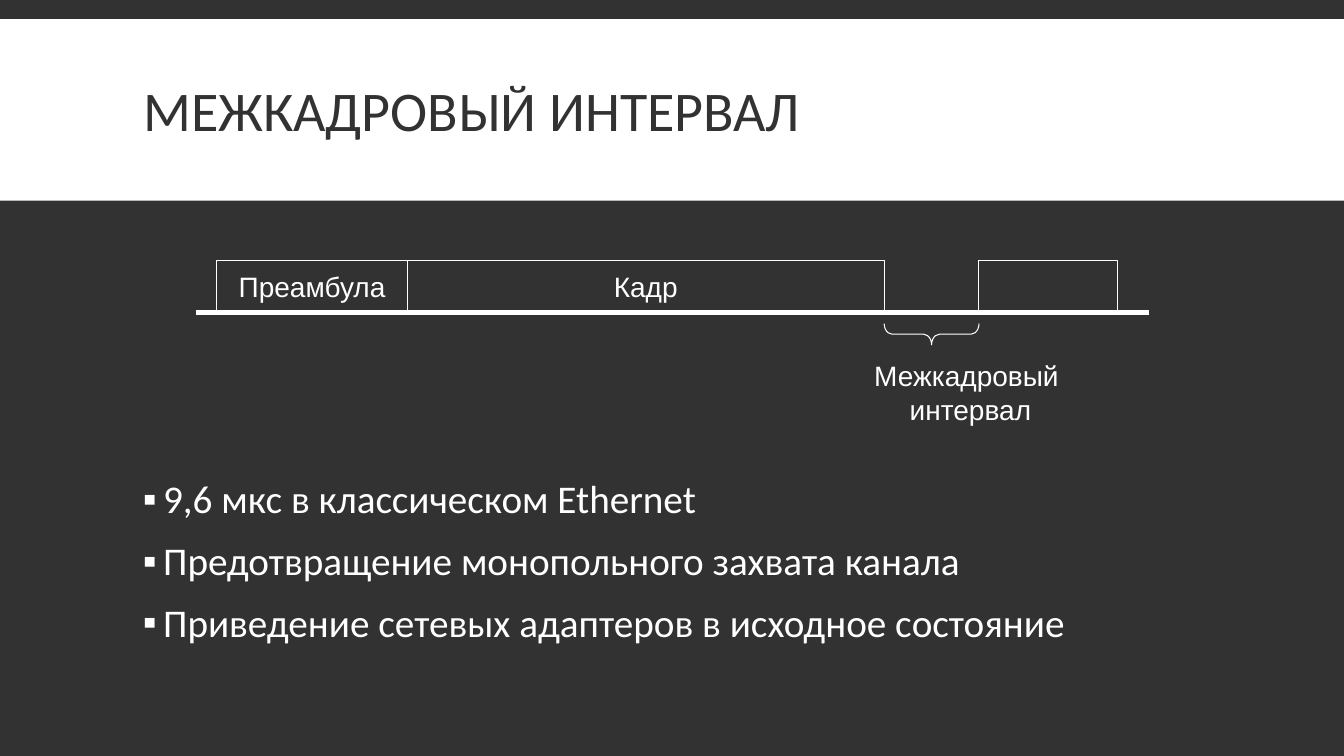
from lxml.etree import SubElement
from pptx import Presentation
from pptx.dml.color import RGBColor
from pptx.enum.shapes import MSO_CONNECTOR, MSO_SHAPE
from pptx.enum.text import MSO_ANCHOR, PP_ALIGN
from pptx.oxml.ns import qn
from pptx.util import Inches, Pt

DARK = "323232"
WHITE = "FFFFFF"


def color(code):
    return RGBColor.from_string(code)


class FrameSlide:
    label_font = "Arial"
    text_font = "Calibri"

    def __init__(self, deck):
        self.page = deck.slides.add_slide(deck.slide_layouts[5])
        self.page.background.fill.solid()
        self.page.background.fill.fore_color.rgb = color(DARK)

    def set_text(self, frame, text, font, size, ink, align, spacing=1.0):
        frame.text = text
        for para in frame.paragraphs:
            para.alignment = align
            para.line_spacing = spacing
            for span in para.runs:
                span.font.name = font
                span.font.size = Pt(size)
                span.font.color.rgb = color(ink)

    def title(self, text, left, top, width, height):
        box = self.page.shapes.title
        box.left, box.top = Inches(left), Inches(top)
        box.width, box.height = Inches(width), Inches(height)
        box.text_frame.word_wrap = True
        box.text_frame.vertical_anchor = MSO_ANCHOR.MIDDLE
        self.set_text(box.text_frame, text, self.text_font, 40, DARK, PP_ALIGN.LEFT, 0.85)

    def shape(self, kind, left, top, width, height):
        box = self.page.shapes.add_shape(
            kind, Inches(left), Inches(top), Inches(width), Inches(height))
        box.shadow.inherit = False
        box.fill.background()
        box.line.color.rgb = color(WHITE)
        box.line.width = Pt(0.75)
        return box

    def band(self, top, width, height):
        box = self.shape(MSO_SHAPE.RECTANGLE, 0, top, width, height)
        box.fill.solid()
        box.fill.fore_color.rgb = color(WHITE)
        box.line.fill.background()
        self.page.shapes.title.element.addprevious(box.element)

    def block(self, text, left, top, width, height):
        box = self.shape(MSO_SHAPE.RECTANGLE, left, top, width, height)
        if text:
            box.text_frame.word_wrap = False
            box.text_frame.vertical_anchor = MSO_ANCHOR.MIDDLE
            self.set_text(box.text_frame, text, self.label_font, 20, WHITE, PP_ALIGN.CENTER)

    def brace_below(self, left, right, top, depth):
        span = right - left
        brace = self.shape(MSO_SHAPE.LEFT_BRACE, (left + right - depth) / 2,
                           top + (depth - span) / 2, depth, span)
        brace.rotation = 270
        brace.adjustments[0] = 0.375

    def axis(self, left, right, top):
        line = self.page.shapes.add_connector(
            MSO_CONNECTOR.STRAIGHT, Inches(left), Inches(top), Inches(right), Inches(top))
        line.line.color.rgb = color(WHITE)
        line.line.width = Pt(3)
        SubElement(line.element.spPr, qn("a:effectLst"))

    def text_box(self, left, top, width, height):
        box = self.page.shapes.add_textbox(
            Inches(left), Inches(top), Inches(width), Inches(height))
        return box.text_frame

    def label(self, text, left, top, width, height):
        frame = self.text_box(left, top, width, height)
        frame.word_wrap = False
        self.set_text(frame, text, self.label_font, 20, WHITE, PP_ALIGN.CENTER)

    def bullets(self, items, left, top, width, height):
        frame = self.text_box(left, top, width, height)
        frame.word_wrap = True
        self.set_text(frame, "\n".join(items), self.text_font, 28, WHITE, PP_ALIGN.LEFT, 0.9)
        for para in frame.paragraphs:
            para.space_before = Pt(12)
            para.space_after = Pt(2)
            properties = para._p.get_or_add_pPr()
            properties.set("marL", str(Inches(0.2)))
            properties.set("indent", str(-Inches(0.2)))
            tint = SubElement(properties, qn("a:buClr"))
            SubElement(tint, qn("a:srgbClr"), val=WHITE)
            SubElement(properties, qn("a:buFont"), typeface=self.label_font)
            SubElement(properties, qn("a:buChar"), char="▪")


def main():
    deck = Presentation()
    deck.slide_width, deck.slide_height = Inches(13.33), Inches(7.5)
    slide = FrameSlide(deck)
    slide.band(0.19, 13.33, 1.8)
    slide.title("МЕЖКАДРОВЫЙ ИНТЕРВАЛ", 1.32, 0.31, 10.7, 1.65)
    slide.bullets([
        "9,6 мкс в классическом Ethernet",
        "Предотвращение монопольного захвата канала",
        "Приведение сетевых адаптеров в исходное состояние",
    ], 1.32, 4.71, 10.7, 2.09)

    slide.axis(1.94, 11.4, 3.1)
    preamble, frame, gap, following, end = 2.15, 4.04, 8.77, 9.71, 11.08
    for text, left, right in [
        ("Преамбула", preamble, frame),
        ("Кадр", frame, gap),
        ("", following, end),
    ]:
        slide.block(text, left, 2.58, right - left, 0.53)
    slide.brace_below(gap, following, 3.21, 0.21)
    slide.label("Межкадровый \nинтервал", 8.42, 3.51, 2.41, 0.88)
    deck.save("out.pptx")


if __name__ == "__main__":
    main()
